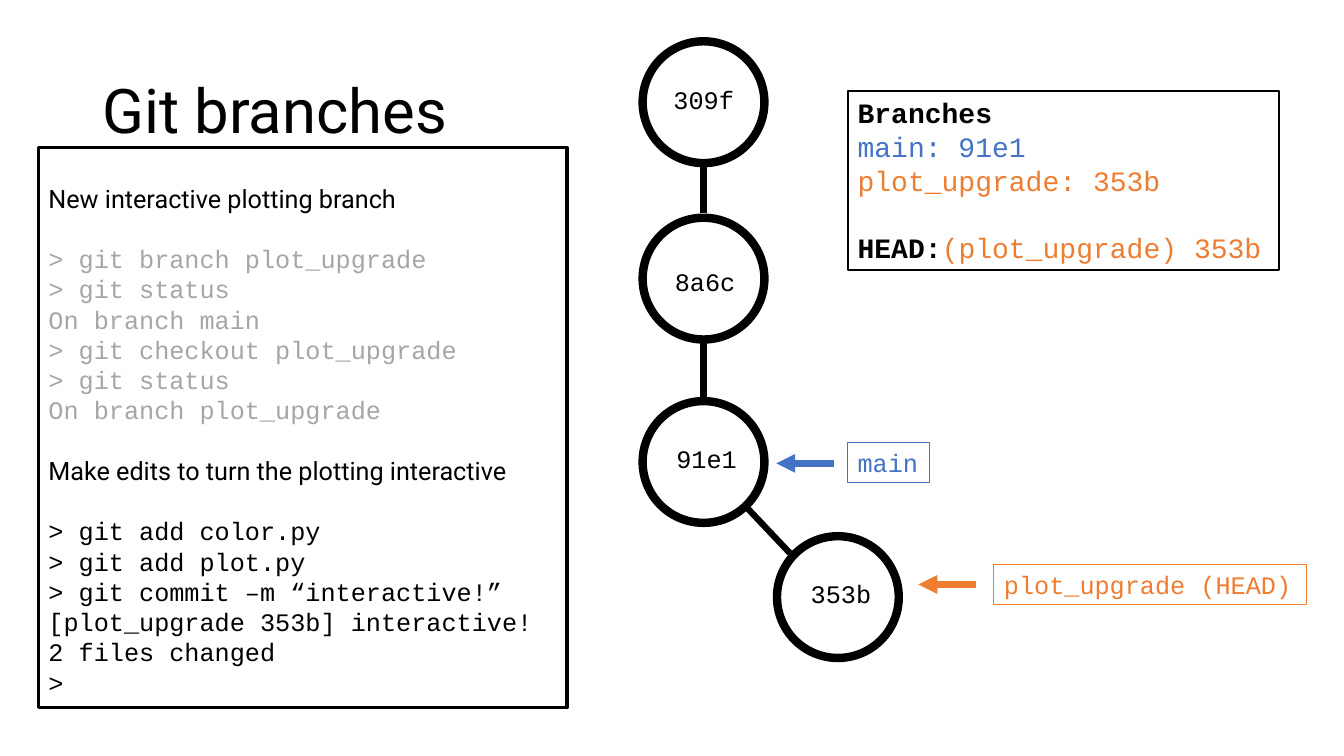
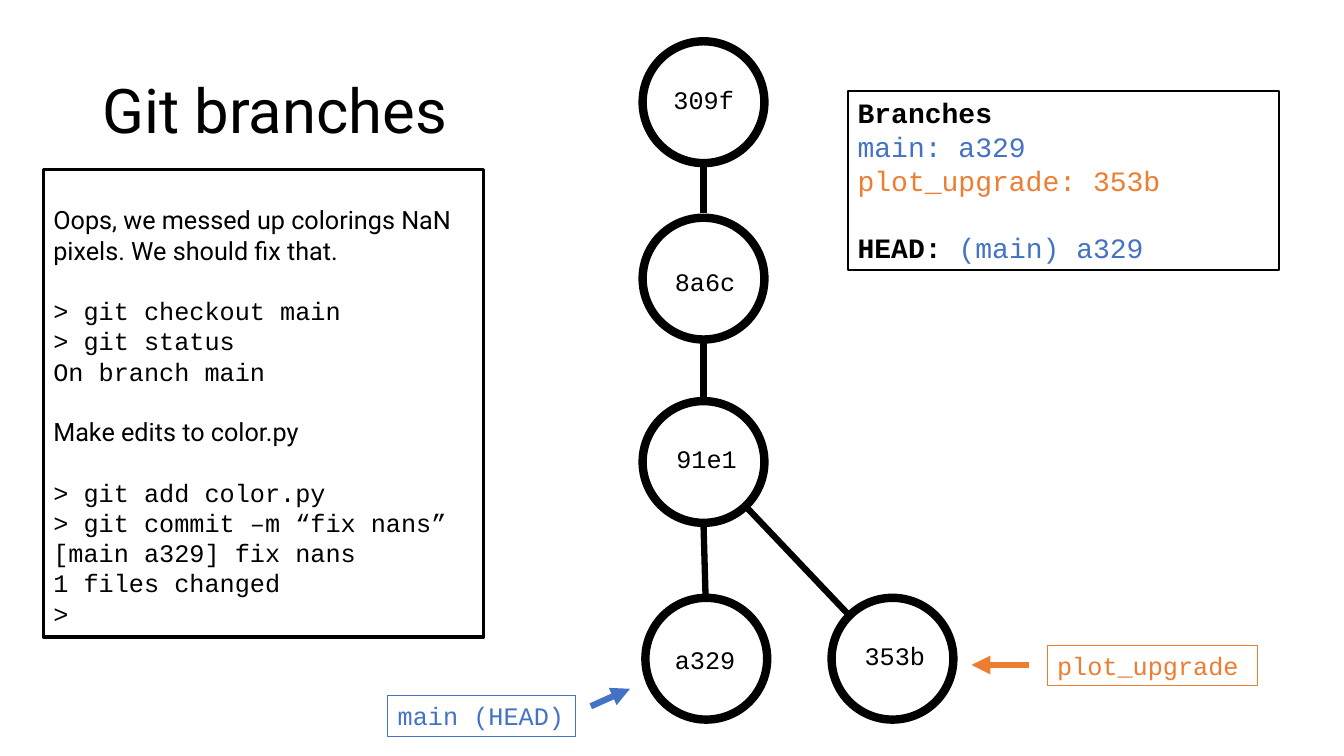
from dataclasses import dataclass

from pptx import Presentation
from pptx.dml.color import RGBColor
from pptx.enum.shapes import MSO_CONNECTOR, MSO_SHAPE
from pptx.enum.text import MSO_ANCHOR, PP_ALIGN
from pptx.oxml.ns import qn
from pptx.util import Pt
from lxml import etree

STRAIGHT = MSO_CONNECTOR.STRAIGHT
RECT, OVAL = MSO_SHAPE.RECTANGLE, MSO_SHAPE.OVAL
TOP, MIDDLE = MSO_ANCHOR.TOP, MSO_ANCHOR.MIDDLE
LEFT = PP_ALIGN.LEFT

BLACK = RGBColor(0x00, 0x00, 0x00)
GREY = RGBColor(0xA6, 0xA6, 0xA6)
BLUE = RGBColor(0x44, 0x72, 0xC4)
ORANGE = RGBColor(0xED, 0x7D, 0x31)

SANS, MONO = "Roboto", "Courier New"
BODY, SUMMARY, TITLE = 18, 20, 44
LINE_HEIGHT = 1.2
INSET = 3.6
NODE = 87
LABEL_W, LABEL_H = 58.5, 29


@dataclass(frozen=True)
class Run:
    text: str
    color: RGBColor = BLACK
    font: str = MONO
    bold: bool = False


@dataclass(frozen=True)
class Para:
    runs: tuple[Run, ...]
    gap: bool = False


@dataclass(frozen=True)
class Box:
    x: float
    y: float
    w: float
    h: float


@dataclass(frozen=True)
class Commit:
    name: str
    x: float
    y: float
    label_x: float
    label_y: float


@dataclass(frozen=True)
class Link:
    x1: float
    y1: float
    x2: float
    y2: float


@dataclass(frozen=True)
class Pointer:
    text: str
    color: RGBColor
    box: Box
    arrow: Link


@dataclass(frozen=True)
class Page:
    steps_box: Box
    steps: list[Para]
    summary: list[Para]
    commits: list[Commit]
    links: list[Link]
    pointers: list[Pointer]


def prose(text: str, gap: bool = True) -> list[Para]:
    return [Para((Run(text, font=SANS),), gap)]


def terminal(*lines: str, color: RGBColor = BLACK) -> list[Para]:
    return [Para((Run(t, color),), i == 0) for i, t in enumerate(lines)]


def branch_summary(main: str, head: str, target: Run) -> list[Para]:
    return [
        Para((Run("Branches", bold=True),)),
        Para((Run(f"main: {main}", BLUE),)),
        Para((Run("plot_upgrade: 353b", ORANGE),)),
        Para((Run(head, bold=True), target), gap=True),
    ]


def add_text(p, text: str, *, size: float, font: str, color: RGBColor,
             bold: bool = False) -> None:
    r = p.add_run()
    r.text = text
    r.font.size = Pt(size)
    r.font.name = font
    r.font.color.rgb = color
    r.font.bold = bold


def fill_frame(tf, paras: list[Para], size: float, *, anchor=TOP,
               spacing: float = 1.0) -> None:
    tf.word_wrap = True
    tf.vertical_anchor = anchor
    blank = size * LINE_HEIGHT
    tf.margin_top = Pt(INSET + (blank if paras[0].gap else 0))
    for i, para in enumerate(paras):
        p = tf.add_paragraph() if i else tf.paragraphs[0]
        p.alignment = LEFT
        p.line_spacing = spacing
        if i and para.gap:
            p.space_before = Pt(blank)
        for run in para.runs:
            add_text(p, run.text, size=size, font=run.font,
                     color=run.color, bold=run.bold)


def add_outline(s, kind, box: Box, color: RGBColor, width: float):
    sp = s.shapes.add_shape(kind, Pt(box.x), Pt(box.y), Pt(box.w), Pt(box.h))
    sp.shadow.inherit = False
    sp.fill.background()
    sp.line.color.rgb = color
    sp.line.width = Pt(width)
    return sp


def add_panel(s, box: Box, paras: list[Para], size: float, color: RGBColor,
              width: float) -> None:
    sp = add_outline(s, RECT, box, color, width)
    fill_frame(sp.text_frame, paras, size)


def add_label(s, box: Box, run: Run, size: float, *, anchor=TOP,
              spacing: float = 1.0) -> None:
    sp = s.shapes.add_textbox(Pt(box.x), Pt(box.y), Pt(box.w), Pt(box.h))
    fill_frame(sp.text_frame, [Para((run,))], size, anchor=anchor,
               spacing=spacing)


def add_link(s, link: Link, color: RGBColor = BLACK,
             arrow: bool = False) -> None:
    cx = s.shapes.add_connector(STRAIGHT, Pt(link.x1), Pt(link.y1),
                                Pt(link.x2), Pt(link.y2))
    cx.line.color.rgb = color
    cx.line.width = Pt(4.5)
    if arrow:
        ln = cx.line._get_or_add_ln()
        etree.SubElement(ln, qn("a:tailEnd"), type="triangle")
    etree.SubElement(cx._element.spPr, qn("a:effectLst"))


def add_commit(s, commit: Commit) -> None:
    add_outline(s, OVAL, Box(commit.x, commit.y, NODE, NODE), BLACK, 6)
    add_label(s, Box(commit.label_x, commit.label_y, LABEL_W, LABEL_H),
              Run(commit.name), BODY)


def add_pointer(s, pointer: Pointer) -> None:
    add_panel(s, pointer.box, [Para((Run(pointer.text, pointer.color),))],
              BODY, pointer.color, 0.75)
    add_link(s, pointer.arrow, pointer.color, arrow=True)


TITLE_BOX = Box(66, 29, 828, 104)
SUMMARY_BOX = Box(605.5, 65, 308, 128)
TRUNK = [
    Commit("309f", 459, 29.5, 474, 57),
    Commit("8a6c", 459, 155.5, 475, 186.5),
    Commit("91e1", 459, 286.5, 476, 313),
]
TRUNK_LINKS = [
    Link(502.5, 152.5, 502.5, 116.5),
    Link(502.5, 286.5, 502.5, 242.5),
]

PAGES = [
    Page(
        steps_box=Box(27.5, 105.5, 377.5, 400),
        steps=[
            *prose("New interactive plotting branch"),
            *terminal("> git branch plot_upgrade", "> git status",
                      "On branch main", "> git checkout plot_upgrade",
                      "> git status", "On branch plot_upgrade", color=GREY),
            *prose("Make edits to turn the plotting interactive"),
            *terminal("> git add color.py", "> git add plot.py",
                      "> git commit –m “interactive!”",
                      "[plot_upgrade 353b] interactive!",
                      "2 files changed", ">"),
        ],
        summary=branch_summary("91e1", "HEAD:",
                               Run("(plot_upgrade) 353b", ORANGE)),
        commits=[Commit("353b", 555, 383, 572, 409.5)],
        links=[Link(566.5, 397.5, 531.5, 360.5)],
        pointers=[
            Pointer("main", BLUE, Box(605.5, 316, LABEL_W, LABEL_H),
                    Link(595.5, 331, 554.5, 331)),
            Pointer("plot_upgrade (HEAD)", ORANGE,
                    Box(710, 403, 223, LABEL_H),
                    Link(697, 417.5, 656, 417.5)),
        ],
    ),
    Page(
        steps_box=Box(31, 121, 314.5, 334),
        steps=[
            *prose("Oops, we messed up colorings NaN pixels. "
                   "We should fix that."),
            *terminal("> git checkout main", "> git status",
                      "On branch main"),
            *prose("Make edits to color.py"),
            *terminal("> git add color.py", "> git commit –m “fix nans”",
                      "[main a329] fix nans", "1 files changed", ">"),
        ],
        summary=branch_summary("a329", "HEAD: ", Run("(main) a329", BLUE)),
        commits=[
            Commit("353b", 594, 427, 610.5, 453.5),
            Commit("a329", 461, 427, 475, 456.5),
        ],
        links=[
            Link(607, 440, 531.5, 360.5),
            Link(504, 427, 502.5, 374),
        ],
        pointers=[
            Pointer("main (HEAD)", BLUE, Box(277, 497, 134, LABEL_H),
                    Link(422, 504.5, 450, 492)),
            Pointer("plot_upgrade", ORANGE, Box(748, 461, 150, LABEL_H),
                    Link(735, 475, 694, 475)),
        ],
    ),
]


def draw_page(prs, page: Page) -> None:
    s = prs.slides.add_slide(prs.slide_layouts[6])
    add_label(s, TITLE_BOX, Run("Git branches", font=SANS), TITLE,
              anchor=MIDDLE, spacing=0.9)
    add_panel(s, page.steps_box, page.steps, BODY, BLACK, 2.25)
    add_panel(s, SUMMARY_BOX, page.summary, SUMMARY, BLACK, 1.5)
    for commit in TRUNK + page.commits:
        add_commit(s, commit)
    for link in TRUNK_LINKS + page.links:
        add_link(s, link)
    for pointer in page.pointers:
        add_pointer(s, pointer)


def main() -> None:
    prs = Presentation()
    prs.slide_width, prs.slide_height = Pt(960), Pt(540)
    for page in PAGES:
        draw_page(prs, page)
    prs.save("out.pptx")


if __name__ == "__main__":
    main()
